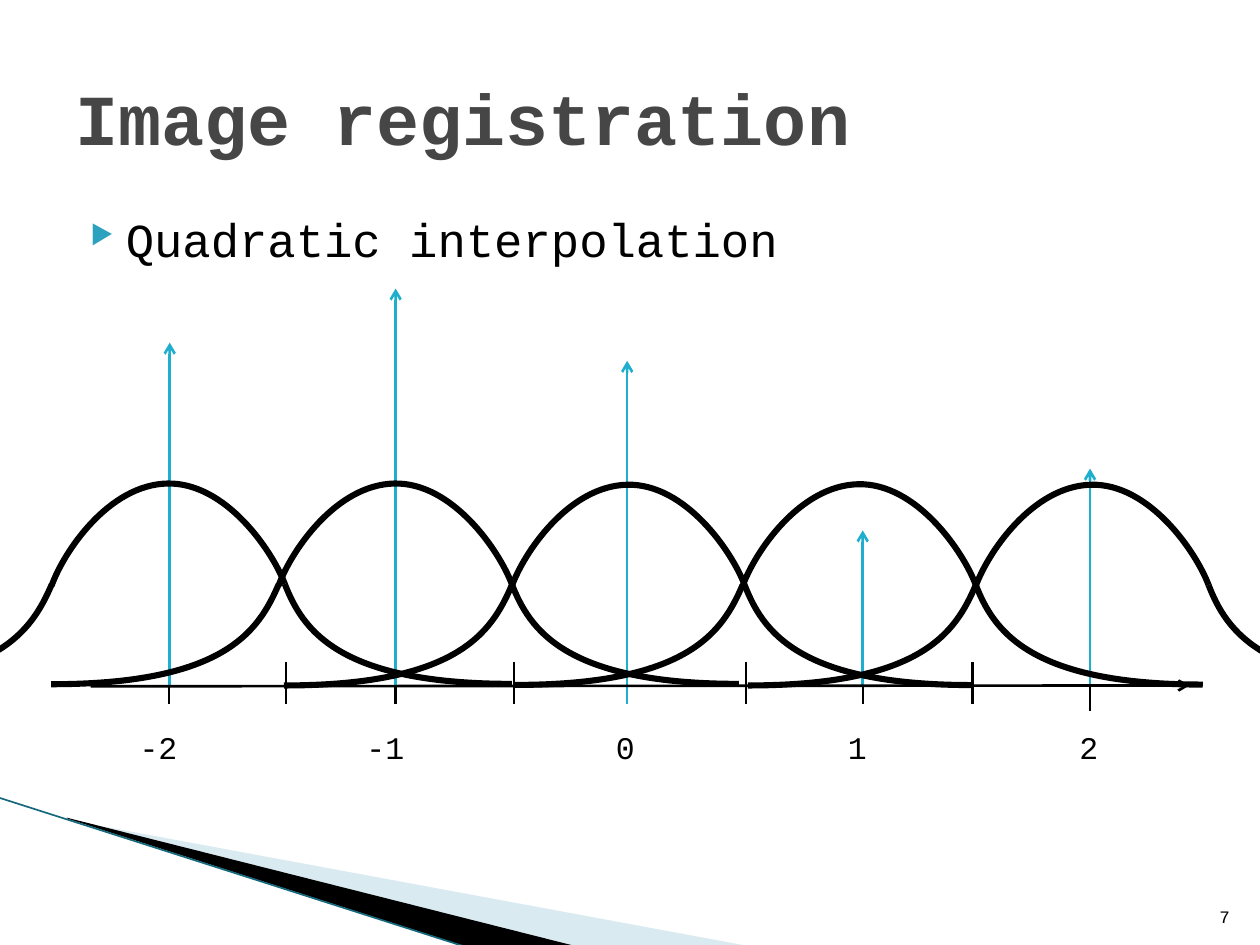
"""Build a slide on quadratic interpolation for image registration."""
from lxml.etree import SubElement
from pptx import Presentation
from pptx.dml.color import RGBColor
from pptx.enum.shapes import MSO_CONNECTOR
from pptx.enum.text import MSO_ANCHOR, MSO_AUTO_SIZE, PP_ALIGN
from pptx.oxml.ns import qn
from pptx.util import Pt

FONT = "Courier New"
BLACK = RGBColor(0x00, 0x00, 0x00)
GRAY = RGBColor(0x46, 0x46, 0x46)
CYAN = RGBColor(0x1F, 0xAE, 0xCD)
PALE_BLUE = RGBColor(0xA0, 0xCB, 0xDC)
EDGE_TEAL = RGBColor(0x16, 0x69, 0x7C)

PALE_WEDGE = [(39.6, 468.7), (428.4, 540.7), (328.3, 540.7), (39.6, 468)]
BLACK_WEDGE = [(38.2, 467.3), (329, 540.7), (267.8, 541.4), (38.9, 468)]

AXIS_Y = 392.2
LABEL_TOP = 412.6
LABELS = [("-2", 72.7, 36), ("-1", 202.3, 36), ("0", 344.9, 28),
          ("1", 477.4, 28), ("2", 609.8, 28)]
SAMPLES = [(97, 195.8, AXIS_Y), (226.1, 164.9, AXIS_Y), (358.4, 206.2, 402.5),
           (493, 303.1, AXIS_Y), (622.9, 267.8, AXIS_Y)]
TICKS = [(96.5, 378), (163.4, 378), (226.1, 378), (293.8, 378),
         (426.2, 378), (493.2, 378), (555.8, 378), (622.9, 382)]
TICK_HEIGHT = 24.4

BELL_STARTS = [(29.5, 334.6), (159.2, 334.6), (292.3, 335.3),
               (424.3, 335), (557.4, 335.3)]
BELL_PARTS = [
    [(0, 0), (7, -19.4), (32.6, -57.6), (66.2, -58.3),
     (99.4, -59), (126, -20), (133.2, -1)],
    [(133.2, -1), (143.3, 25), (163.4, 56.2), (263, 56.2)],
    [(0, -0.5), (-11.5, 25.9), (-30.5, 56.4), (-130, 56.4)],
]


def add_outline(page, points, close):
    corners = [(Pt(x), Pt(y)) for x, y in points]
    builder = page.shapes.build_freeform(*corners[0], scale=1.0)
    builder.add_line_segments(corners[1:], close=close)
    shape = builder.convert_to_shape()
    shape.shadow.inherit = False
    return shape


def add_wedge(page, points, color, opacity=100):
    wedge = add_outline(page, points, True)
    wedge.fill.solid()
    wedge.fill.fore_color.rgb = color
    wedge.line.fill.background()
    if opacity < 100:
        fill_color = wedge._element.spPr.find(qn("a:solidFill"))[0]
        SubElement(fill_color, qn("a:alpha"), val=str(opacity * 1000))


def add_curve(page, points):
    curve = add_outline(page, points, False)
    curve.fill.background()
    curve.line.color.rgb = BLACK
    curve.line.width = Pt(3.5)
    outline = next(curve._element.iter(qn("a:path")))
    segments = outline.findall(qn("a:lnTo"))
    for first in range(0, len(segments), 3):
        bend = SubElement(outline, qn("a:cubicBezTo"))
        for segment in segments[first:first + 3]:
            bend.append(segment[0])
            outline.remove(segment)


def add_line(page, start, end, color, width=1.5, arrow=False):
    line = page.shapes.add_connector(
        MSO_CONNECTOR.STRAIGHT, *(Pt(value) for value in (*start, *end)))
    line.line.color.rgb = color
    line.line.width = Pt(width)
    properties = line._element.spPr
    if arrow:
        SubElement(properties.find(qn("a:ln")), qn("a:tailEnd"), type="arrow")
    SubElement(properties, qn("a:effectLst"))


def add_text(page, text, place, size, color=BLACK, bold=False, wrap=True,
             anchor=MSO_ANCHOR.TOP, align=PP_ALIGN.LEFT):
    box = page.shapes.add_textbox(*(Pt(value) for value in place))
    frame = box.text_frame
    frame.text = text
    frame.word_wrap = wrap
    frame.vertical_anchor = anchor
    para = frame.paragraphs[0]
    para.alignment = align
    font = para.runs[0].font
    font.name, font.size, font.bold = FONT, Pt(size), bold
    font.color.rgb = color
    return box


def add_bullet(para):
    properties = para._p.get_or_add_pPr()
    properties.set("marL", str(Pt(28.8)))
    properties.set("indent", str(Pt(-20.16)))
    color = SubElement(properties, qn("a:buClr"))
    SubElement(color, qn("a:srgbClr"), val="2DA2BF")
    SubElement(properties, qn("a:buSzPct"), val="56000")
    SubElement(properties, qn("a:buChar"), char="▶")


def main():
    deck = Presentation()
    deck.slide_width, deck.slide_height = Pt(720), Pt(540)
    page = deck.slides.add_slide(deck.slide_layouts[6])

    add_wedge(page, PALE_WEDGE, PALE_BLUE, 40)
    add_wedge(page, BLACK_WEDGE, BLACK)
    add_line(page, (-0.7, 455.8), (267.1, 541.4), EDGE_TEAL, 0.95)

    body = add_text(page, "Quadratic interpolation", (36, 116.64, 648, 356.4), 27)
    add_bullet(body.text_frame.paragraphs[0])
    add_text(page, "7", (681.1, 504.7, 28.8, 28.8), 10,
             anchor=MSO_ANCHOR.BOTTOM, align=PP_ALIGN.RIGHT)
    add_text(page, "Image registration", (36, 21.6, 648, 90), 41, GRAY, True,
             anchor=MSO_ANCHOR.MIDDLE)

    for text, left, width in LABELS:
        label = add_text(page, text, (left, LABEL_TOP, width, 30.2), 18, wrap=False)
        label.text_frame.auto_size = MSO_AUTO_SIZE.SHAPE_TO_FIT_TEXT
    for x, top in TICKS:
        add_line(page, (x, top + TICK_HEIGHT), (x, top), BLACK)
    for x, top, bottom in SAMPLES:
        add_line(page, (x, bottom), (x, top), CYAN, arrow=True)
    add_line(page, (51.8, AXIS_Y), (679.7, AXIS_Y - 0.5), BLACK, arrow=True)

    for left, top in BELL_STARTS:
        for part in BELL_PARTS:
            add_curve(page, [(left + x, top + y) for x, y in part])

    deck.save("out.pptx")


if __name__ == "__main__":
    main()
